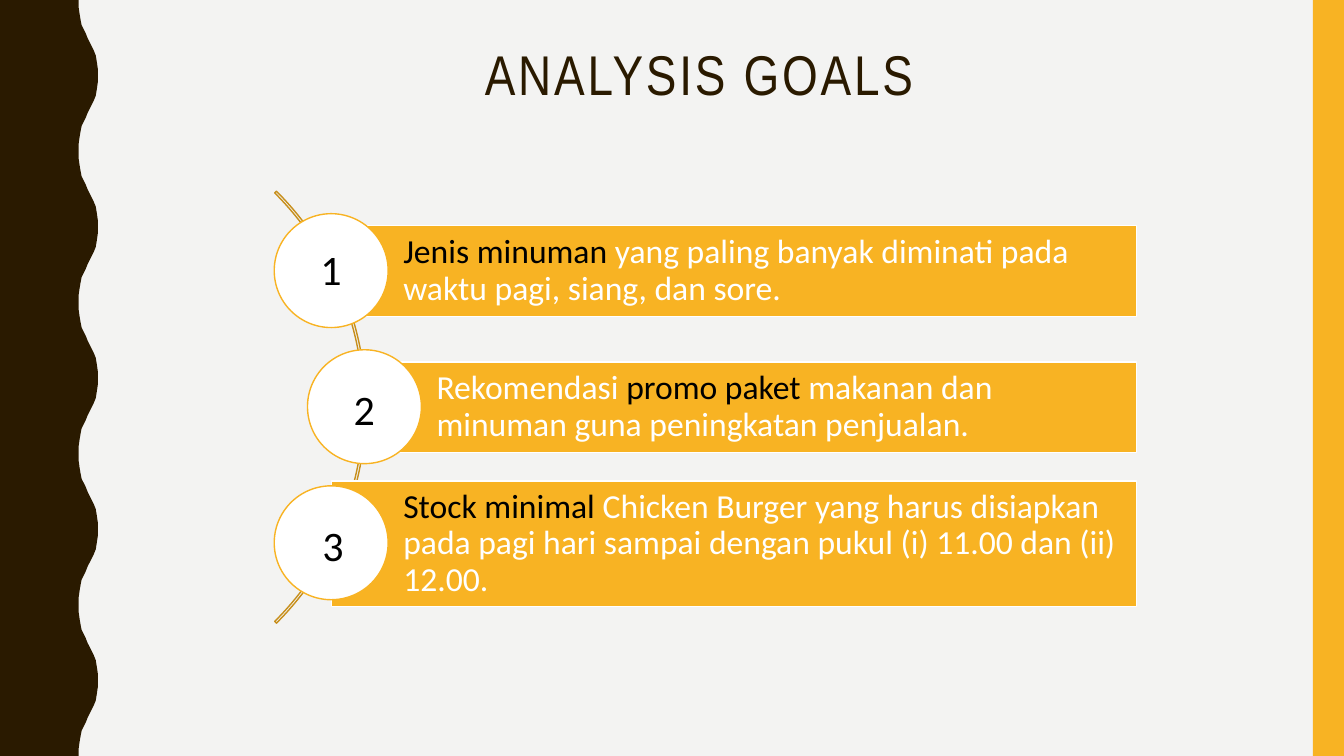
from dataclasses import dataclass

from pptx import Presentation
from pptx.dml.color import RGBColor
from pptx.enum.shapes import MSO_SHAPE
from pptx.enum.text import MSO_ANCHOR, PP_ALIGN
from pptx.util import Pt

PX = 9144  # EMU per px, 100 px to the inch
SLIDE_W, SLIDE_H = 1333, 750


@dataclass(frozen=True)
class Theme:
    paper: str = "F3F3F2"
    dark: str = "2A1A00"
    gold: str = "F8B323"
    arc: str = "C78F1C"
    white: str = "FFFFFF"
    black: str = "000000"
    title_font: str = "Arial Narrow"
    body_font: str = "Calibri"
    title_size: int = 40
    body_size: int = 24
    number_size: int = 30


THEME = Theme()

# Half of one wave, as (x, y); the other half mirrors it
HALF_WAVE = [(78, 0), (78, 7), (79, 14), (80, 20), (81, 25), (83, 29), (85, 33),
             (87, 38), (89, 42), (91, 46), (93, 50), (95, 55), (96, 61), (97, 68),
             (97, 75)]
WAVE = 150

# Indent, bar height, offset of the number in its circle, (text, stressed) runs
GOALS = [
    (0, 90, (36, 25), [
        ("Jenis minuman ", True),
        ("yang paling banyak diminati pada waktu pagi, siang, dan sore.", False)]),
    (33, 90, (36, 29), [
        ("Rekomendasi ", False),
        ("promo paket ", True),
        ("makanan dan minuman guna peningkatan penjualan.", False)]),
    (0, 125, (38, 28), [
        ("Stock minimal ", True),
        ("Chicken Burger yang harus disiapkan pada pagi hari sampai dengan "
         "pukul (i) 11.00 dan (ii) 12.00.", False)]),
]
CIRCLE = 113
PITCH = 135


def rgb(code):
    return RGBColor.from_string(code)


def style(sp, fill=None, line=None):
    sp.shadow.inherit = False
    if fill:
        sp.fill.solid()
        sp.fill.fore_color.rgb = rgb(fill)
    else:
        sp.fill.background()
    if line:
        sp.line.color.rgb = rgb(line)
        sp.line.width = Pt(1)
    else:
        sp.line.fill.background()


def add_shape(slide, kind, x, y, w, h, fill=None, line=None):
    sp = slide.shapes.add_shape(kind, x * PX, y * PX, w * PX, h * PX)
    style(sp, fill, line)
    return sp


def add_label(slide, x, y, w, h, text, font, size, color):
    box = slide.shapes.add_textbox(x * PX, y * PX, w * PX, h * PX)
    box.text_frame.word_wrap = True
    p = box.text_frame.paragraphs[0]
    p.text = text
    p.font.name, p.font.size = font, Pt(size)
    p.font.color.rgb = rgb(color)
    return p


def add_frame(slide, w, h):
    """Background, wavy left edge and gold right edge."""
    slide.background.fill.solid()
    slide.background.fill.fore_color.rgb = rgb(THEME.paper)

    wave = HALF_WAVE + [(x, WAVE - y) for x, y in HALF_WAVE[-2::-1]]
    edge = [(x, top + y) for top in range(0, h, WAVE) for x, y in wave]
    builder = slide.shapes.build_freeform(0, 0, scale=PX)
    builder.add_line_segments(edge + [(0, h)], close=True)
    style(builder.convert_to_shape(), THEME.dark)

    add_shape(slide, MSO_SHAPE.RECTANGLE, w - 31, 0, 31, h, THEME.gold)


def add_title(slide, x, y, w, h):
    p = add_label(slide, x, y, w, h, "ANALYSIS GOALS",
                  THEME.title_font, THEME.title_size, THEME.dark)
    p.alignment = PP_ALIGN.CENTER
    p.line_spacing = 0.9
    p.runs[0].font._element.set("spc", "200")


def add_goal_bar(slide, x, y, w, h, runs):
    sp = add_shape(slide, MSO_SHAPE.RECTANGLE, x, y, w, h, THEME.gold, THEME.white)
    tf = sp.text_frame
    tf.word_wrap = True
    tf.vertical_anchor = MSO_ANCHOR.MIDDLE
    tf.margin_left = 71 * PX
    tf.margin_top = tf.margin_right = tf.margin_bottom = 7 * PX
    p = tf.paragraphs[0]
    p.alignment = PP_ALIGN.LEFT
    p.line_spacing = 0.9
    p.font.name, p.font.size = THEME.body_font, Pt(THEME.body_size)
    for text, stressed in runs:
        r = p.add_run()
        r.text = text
        r.font.color.rgb = rgb(THEME.black if stressed else THEME.white)


def add_goals(slide, x, y, w):
    """Goal bars with circles that follow a curve."""
    # Curve behind the circles
    arc = add_shape(slide, MSO_SHAPE.BLOCK_ARC, x - 515, y - 111, 606, 606,
                    line=THEME.arc)
    for i, value in enumerate((189, 27, 0.004)):
        arc.adjustments[i] = value

    # Bars and circles
    numbers = []
    for i, (indent, bar_h, (dx, dy), runs) in enumerate(GOALS):
        left, top = x + indent, y + i * PITCH
        bar_x = left + CIRCLE // 2 + 1
        bar_y = top + (CIRCLE - bar_h) // 2 + 1
        add_goal_bar(slide, bar_x, bar_y, x + w - bar_x, bar_h, runs)
        add_shape(slide, MSO_SHAPE.OVAL, left, top, CIRCLE, CIRCLE,
                  THEME.white, THEME.gold)
        numbers.append((left + dx, top + dy))

    # Numbers
    for i, (left, top) in enumerate(numbers, 1):
        add_label(slide, left, top, 60, 61, str(i),
                  THEME.body_font, THEME.number_size, THEME.black)


def main():
    prs = Presentation()
    prs.slide_width, prs.slide_height = SLIDE_W * PX, SLIDE_H * PX
    slide = prs.slides.add_slide(prs.slide_layouts[6])
    add_frame(slide, SLIDE_W, SLIDE_H)
    add_title(slide, 137, 42, 1113, 163)
    add_goals(slide, 272, 212, 855)
    prs.save("out.pptx")


if __name__ == "__main__":
    main()
